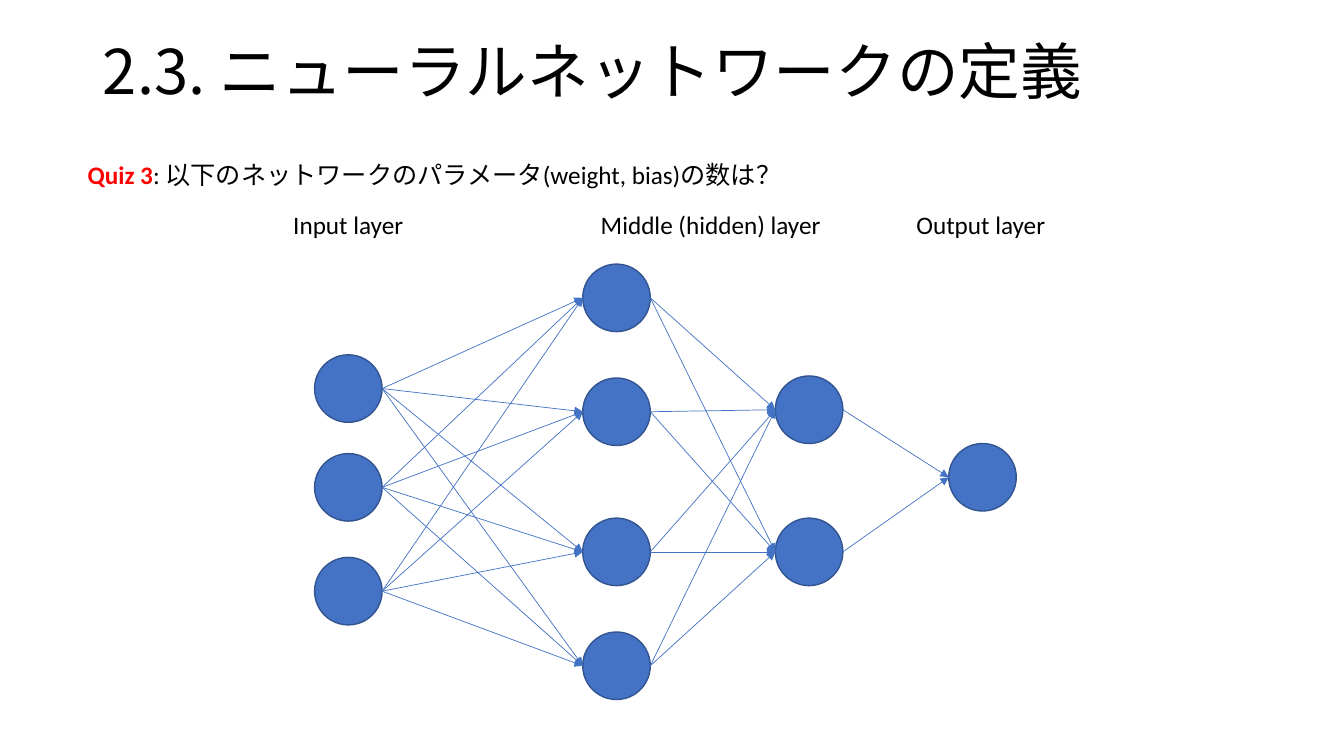
"""Build the neural network quiz slide with its layers, links and labels."""
import itertools

import pptx
import pptx.dml.color
import pptx.enum.shapes
import pptx.enum.text
import pptx.oxml.ns
import pptx.util
from lxml import etree

PX = 9144
SLIDE_WIDTH, SLIDE_HEIGHT = 1333, 750
NEURON_SIZE = 67
BLACK = pptx.dml.color.RGBColor(0x00, 0x00, 0x00)
RED = pptx.dml.color.RGBColor(0xFF, 0x00, 0x00)
BLUE = pptx.dml.color.RGBColor(0x44, 0x72, 0xC4)
DARK_BLUE = pptx.dml.color.RGBColor(0x32, 0x54, 0x91)
LATIN_FONT = "Calibri"
JAPANESE_FONT = "Noto Sans CJK JP"

LAYERS = [
    (312, [352, 450, 553]),
    (578, [262, 375, 514, 627]),
    (769, [373, 514]),
    (941, [440]),
]
LAYER_LABELS = [
    ("Input layer", 281, 131),
    ("Middle (hidden) layer", 586, 241),
    ("Output layer", 899, 149),
]


def px(*lengths):
    return [pptx.util.Emu(length * PX) for length in lengths]


def style_paragraph(paragraph, size, latin):
    paragraph.font.size = pptx.util.Pt(size)
    paragraph.font.name = latin
    paragraph.font.color.rgb = BLACK
    for run in paragraph.runs:
        east_asian = etree.SubElement(run._r.get_or_add_rPr(), pptx.oxml.ns.qn("a:ea"))
        east_asian.set("typeface", JAPANESE_FONT)


def add_title(slide, text):
    title = slide.shapes.title
    title.left, title.top, title.width, title.height = px(92, 1, 1150, 145)
    frame = title.text_frame
    frame.text = text
    frame.auto_size = pptx.enum.text.MSO_AUTO_SIZE.NONE
    frame.vertical_anchor = pptx.enum.text.MSO_ANCHOR.MIDDLE
    heading = frame.paragraphs[0]
    heading.alignment = pptx.enum.text.PP_ALIGN.LEFT
    heading.line_spacing = 0.9
    style_paragraph(heading, 44, JAPANESE_FONT)


def add_label(slide, left, top, width, text, lead=""):
    frame = slide.shapes.add_textbox(*px(left, top, width, 40)).text_frame
    frame.word_wrap = False
    frame.auto_size = pptx.enum.text.MSO_AUTO_SIZE.SHAPE_TO_FIT_TEXT
    label = frame.paragraphs[0]
    if lead:
        lead_run = label.add_run()
        lead_run.text = lead
        lead_run.font.bold = True
        lead_run.font.color.rgb = RED
    label.add_run().text = text
    style_paragraph(label, 18, LATIN_FONT)


def add_neuron(slide, left, top):
    neuron = slide.shapes.add_shape(
        pptx.enum.shapes.MSO_SHAPE.OVAL, *px(left, top, NEURON_SIZE, NEURON_SIZE))
    neuron.shadow.inherit = False
    neuron.fill.solid()
    neuron.fill.fore_color.rgb = BLUE
    neuron.line.color.rgb = DARK_BLUE
    neuron.line.width = pptx.util.Pt(1)
    return neuron


def add_link(slide, source, target):
    link = slide.shapes.add_connector(
        pptx.enum.shapes.MSO_CONNECTOR.STRAIGHT,
        source.left + source.width, source.top + source.height // 2,
        target.left, target.top + target.height // 2)
    link.line.color.rgb = BLUE
    link.line.width = pptx.util.Pt(0.5)
    arrowhead = etree.SubElement(link.line._get_or_add_ln(), pptx.oxml.ns.qn("a:tailEnd"))
    arrowhead.set("type", "triangle")
    etree.SubElement(link._element.spPr, pptx.oxml.ns.qn("a:effectLst"))


def add_network(slide):
    layers = [[add_neuron(slide, left, top) for top in tops] for left, tops in LAYERS]
    for sources, targets in itertools.pairwise(layers):
        for source, target in itertools.product(sources, targets):
            add_link(slide, source, target)


def main():
    presentation = pptx.Presentation()
    presentation.slide_width, presentation.slide_height = px(SLIDE_WIDTH, SLIDE_HEIGHT)
    slide = presentation.slides.add_slide(presentation.slide_layouts[5])
    add_title(slide, "2.3. ニューラルネットワークの定義")
    add_label(slide, 77, 153, 721,
              ": 以下のネットワークのパラメータ(weight, bias)の数は？", lead="Quiz 3")
    add_network(slide)
    for text, left, width in LAYER_LABELS:
        add_label(slide, left, 203, width, text)
    presentation.save("out.pptx")


if __name__ == "__main__":
    main()
